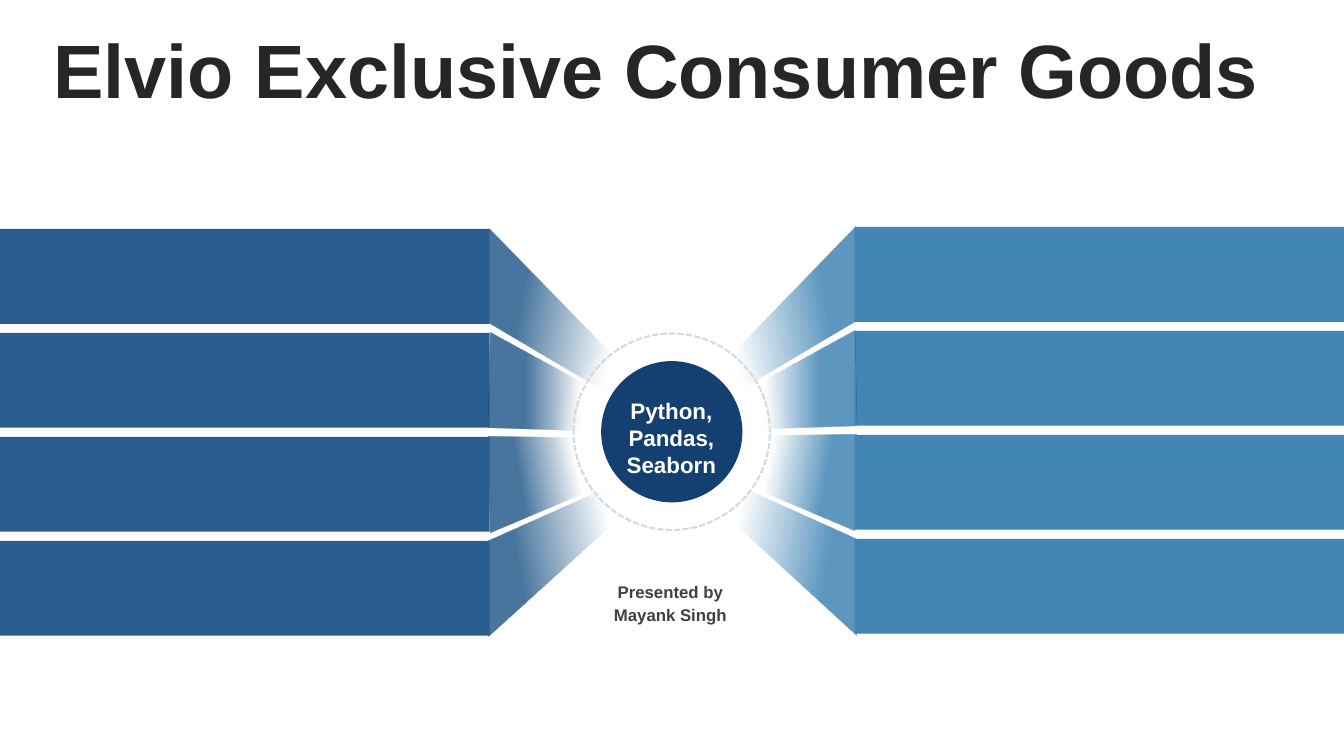
"""Build the title slide: eight bars joined by fading rays to a central circle."""
from dataclasses import dataclass

import lxml.etree
import pptx
import pptx.dml.color
import pptx.enum.shapes
import pptx.enum.text
import pptx.oxml.ns
import pptx.shapes.autoshape
import pptx.slide
import pptx.util
from pptx.util import Cm

SLIDE_WIDTH, SLIDE_HEIGHT = 33.87, 19.05
MIRROR_SUM = 33.91
BAR_LEFT, BAR_TOP, BAR_WIDTH, BAR_HEIGHT, BAR_PITCH = 21.54, 5.72, 12.34, 2.39, 2.62
CENTER_X, CENTER_Y = 16.93, 10.88
RECTANGLE = pptx.enum.shapes.MSO_SHAPE.RECTANGLE
OVAL = pptx.enum.shapes.MSO_SHAPE.OVAL
CENTER = pptx.enum.text.PP_ALIGN.CENTER
RIGHT = pptx.enum.text.PP_ALIGN.RIGHT


@dataclass(frozen=True)
class Ray:
    points: tuple[tuple[float, float], ...]
    clear_stop: int
    angle: int


@dataclass(frozen=True)
class Side:
    color: str
    mirrored: bool
    drop: float


@dataclass(frozen=True)
class Label:
    text: str
    left: float
    top: float
    width: float
    height: float
    size: float
    color: str
    alignment: pptx.enum.text.PP_ALIGN = CENTER


LOWER_RAYS = (
    Ray(((16.97, 11.51), (21.62, 13.59), (21.59, 16.0), (16.97, 11.79)), 35, 10),
    Ray(((16.97, 11.02), (21.59, 10.95), (21.54, 13.36), (16.94, 11.43)), 50, 10),
)
UPPER_RAYS = (
    Ray(((16.94, 10.46), (21.56, 5.72), (21.56, 8.1), (17.04, 10.77)), 35, 350),
    Ray(((16.92, 10.85), (21.54, 8.33), (21.59, 10.72), (16.94, 10.87)), 50, 0),
)
SIDES = (Side("4185B5", False, 0), Side("285D8D", True, 0.05))
TITLE = Label("Elvio Exclusive Consumer Goods", 0.84, 0.86, 31.14, 2.01, 54, "262626", RIGHT)
LABELS = (
    Label("Python, Pandas, Seaborn", 15.14, 9.88, 3.56, 2.31, 16, "FFFFFF"),
    Label("Mayank Singh", 13.77, 15.11, 6.25, 0.76, 12, "404040"),
    Label("Presented by", 13.77, 14.53, 6.25, 0.76, 12, "404040"),
)


def rgb(color: str) -> pptx.dml.color.RGBColor:
    """Turn a hex string into a colour."""
    return pptx.dml.color.RGBColor.from_string(color)


def add_element(parent: lxml.etree._Element, tag: str, **attributes: str) -> lxml.etree._Element:
    """Append a DrawingML element to its parent."""
    return lxml.etree.SubElement(parent, pptx.oxml.ns.qn(tag), attributes)


def fill_solid(shape: pptx.shapes.autoshape.Shape, color: str) -> None:
    """Give a shape a plain fill with neither line nor shadow."""
    shape.shadow.inherit = False
    shape.fill.solid()
    shape.fill.fore_color.rgb = rgb(color)
    shape.line.fill.background()


def add_ray(slide: pptx.slide.Slide, side: Side, ray: Ray) -> None:
    """Draw a ray that fades towards the centre."""
    points = [
        (Cm(MIRROR_SUM - x if side.mirrored else x), Cm(y + side.drop))
        for x, y in ray.points
    ]
    builder = slide.shapes.build_freeform(*points[0])
    builder.add_line_segments(points[1:], close=True)
    shape = builder.convert_to_shape()
    fill_solid(shape, side.color)
    shape.fill.gradient()
    gradient = shape._element.spPr.find(pptx.oxml.ns.qn("a:gradFill"))
    for child in list(gradient):
        gradient.remove(child)
    stops = add_element(gradient, "a:gsLst")
    for position, alpha in ((ray.clear_stop, 0), (80, 85)):
        stop = add_element(stops, "a:gs", pos=str(position * 1000))
        color = add_element(stop, "a:srgbClr", val=side.color)
        add_element(color, "a:alpha", val=str(alpha * 1000))
    angle = (180 - ray.angle) % 360 if side.mirrored else ray.angle
    add_element(gradient, "a:lin", ang=str(angle * 60000), scaled="0")


def add_side(slide: pptx.slide.Slide, side: Side) -> None:
    """Draw four bars and their rays on one side."""
    for ray in LOWER_RAYS:
        add_ray(slide, side, ray)
    left = 0 if side.mirrored else BAR_LEFT
    for row in range(4):
        top = BAR_TOP + side.drop + row * BAR_PITCH
        bar = slide.shapes.add_shape(RECTANGLE, Cm(left), Cm(top), Cm(BAR_WIDTH), Cm(BAR_HEIGHT))
        fill_solid(bar, side.color)
    for ray in UPPER_RAYS:
        add_ray(slide, side, ray)


def add_circle(slide: pptx.slide.Slide, diameter: float, color: str) -> pptx.shapes.autoshape.Shape:
    """Draw a filled circle around the centre."""
    circle = slide.shapes.add_shape(
        OVAL, Cm(CENTER_X - diameter / 2), Cm(CENTER_Y - diameter / 2), Cm(diameter), Cm(diameter)
    )
    fill_solid(circle, color)
    return circle


def add_hub(slide: pptx.slide.Slide) -> None:
    """Draw the halo, the disc and the dashed ring."""
    halo = add_circle(slide, 6.22, "FFFFFF")
    properties = halo._element.spPr
    color = properties.find(".//" + pptx.oxml.ns.qn("a:srgbClr"))
    add_element(color, "a:alpha", val="57000")
    effects = properties.find(pptx.oxml.ns.qn("a:effectLst"))
    add_element(effects, "a:softEdge", rad=str(Cm(0.45)))
    add_circle(slide, 3.56, "134070")
    ring = add_circle(slide, 4.95, "FFFFFF")
    ring.fill.background()
    ring.line.color.rgb = rgb("D9D9D9")
    ring.line.width = pptx.util.Pt(1.5)
    ring.line.dash_style = pptx.enum.dml.MSO_LINE.SQUARE_DOT


def add_label(slide: pptx.slide.Slide, label: Label) -> pptx.shapes.autoshape.Shape:
    """Add a bold one-run text box."""
    box = slide.shapes.add_textbox(Cm(label.left), Cm(label.top), Cm(label.width), Cm(label.height))
    box.text_frame.word_wrap = True
    paragraph = box.text_frame.paragraphs[0]
    paragraph.alignment = label.alignment
    run = paragraph.add_run()
    run.text = label.text
    run.font.name = "Arial"
    run.font.size = pptx.util.Pt(label.size)
    run.font.bold = True
    run.font.color.rgb = rgb(label.color)
    return box


def main() -> None:
    """Build and save the presentation."""
    presentation = pptx.Presentation()
    presentation.slide_width = Cm(SLIDE_WIDTH)
    presentation.slide_height = Cm(SLIDE_HEIGHT)
    slide = presentation.slides.add_slide(presentation.slide_layouts[6])
    title = add_label(slide, TITLE)
    title.text_frame.vertical_anchor = pptx.enum.text.MSO_ANCHOR.MIDDLE
    title.text_frame.paragraphs[0].line_spacing = 0.9
    for side in SIDES:
        add_side(slide, side)
    add_hub(slide)
    for label in LABELS:
        add_label(slide, label)
    presentation.save("out.pptx")


if __name__ == "__main__":
    main()
